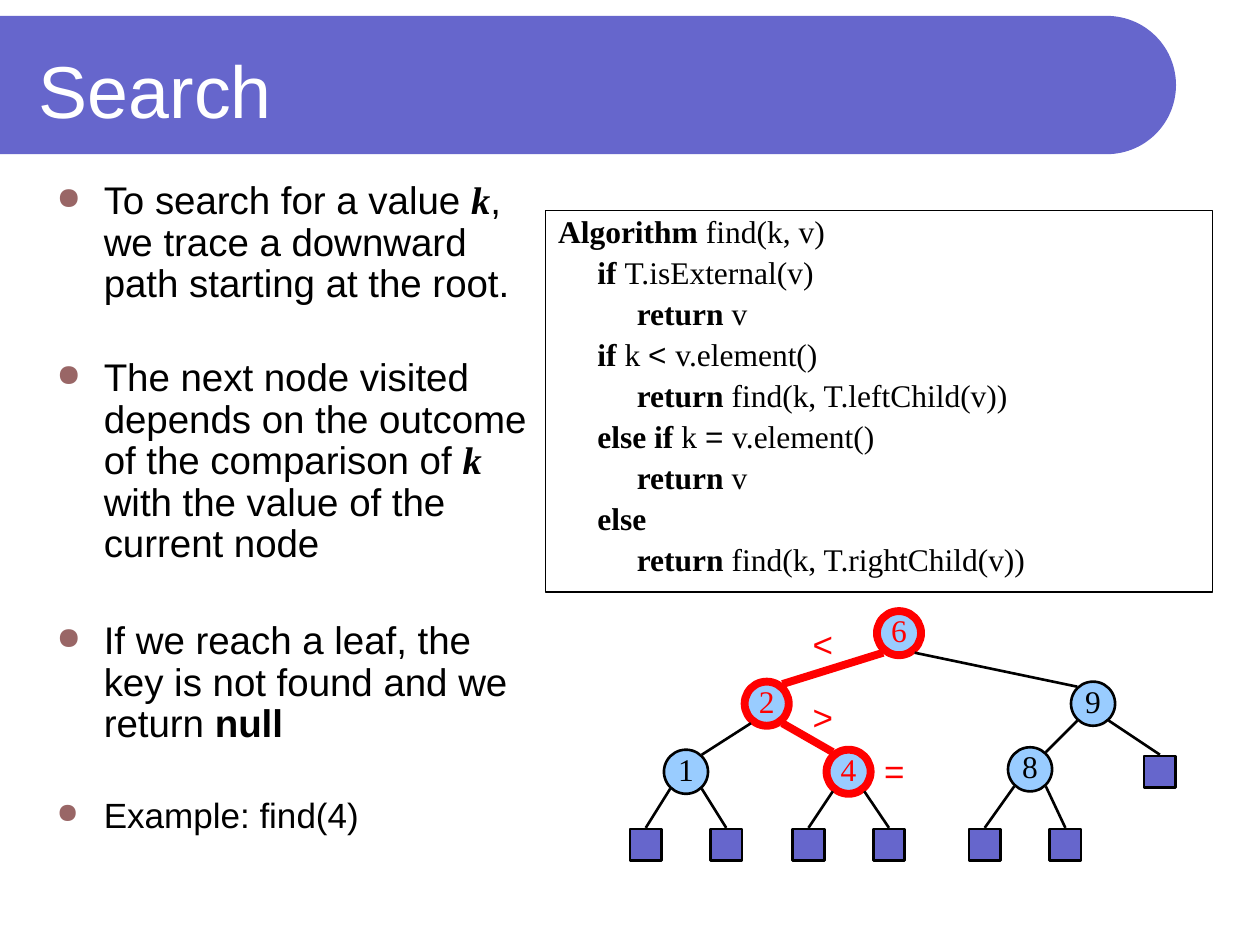
import math

import pptx
import pptx.util
import pptx.dml.color
import pptx.enum.shapes
import pptx.enum.text
from lxml import etree
from pptx.oxml.ns import qn

Pt = pptx.util.Pt
RGBColor = pptx.dml.color.RGBColor
MSO_SHAPE = pptx.enum.shapes.MSO_SHAPE
MSO_ANCHOR = pptx.enum.text.MSO_ANCHOR
PP_ALIGN = pptx.enum.text.PP_ALIGN

BLACK = RGBColor(0, 0, 0)
WHITE = RGBColor(255, 255, 255)
RED = RGBColor(255, 0, 0)
PURPLE = RGBColor(0x66, 0x66, 0xCC)
SKY = RGBColor(0x99, 0xCC, 0xFF)
BULLET = "996666"
SANS, SERIF = "Arial", "Times New Roman"

# Content: text pieces are (text, style); styles are plain, bold, variable, sans
TITLE = "Search"
# (pieces, font size, space before)
POINTS = [
    ([("To search for a value ", "plain"), ("k", "variable"),
      (", we trace a downward path starting at the root.", "plain")], 22, 0),
    ([("The next node visited depends on the outcome of the comparison of ", "plain"),
      ("k", "variable"), (" with the value of the current node", "plain")], 22, 30),
    ([("If we reach a leaf, the key is not found and we return ", "plain"),
      ("null", "bold")], 22, 31.5),
    ([("Example: find(4)", "plain")], 20, 30),
]
# (indent level, pieces)
ALGORITHM = [
    (0, [("Algorithm", "bold"), (" find(k, v)", "plain")]),
    (1, [("if ", "bold"), ("T.isExternal(v)", "plain")]),
    (2, [("return ", "bold"), ("v", "plain")]),
    (1, [("if", "bold"), (" k ", "plain"), ("< ", "sans"), ("v.element()", "plain")]),
    (2, [("return", "bold"), (" find(k, T.leftChild(v))", "plain")]),
    (1, [("else if", "bold"), (" k ", "plain"), ("= ", "sans"), ("v.element()", "plain")]),
    (2, [("return", "bold"), (" v", "plain")]),
    (1, [("else", "bold")]),
    (2, [("return", "bold"), (" find(k, T.rightChild(v))", "plain")]),
]
# Tree: node centres, leaf top centres by parent, and the search path
NODES = {"6": (513.7, 361.8), "2": (438.1, 402.1), "9": (624.6, 402.1),
         "1": (392, 441), "4": (484.9, 441), "8": (588.6, 439.6)}
EDGES = [("6", "2"), ("6", "9"), ("2", "1"), ("2", "4"), ("9", "8")]
LEAF_ROW = 473.8
LEAVES = [("1", 369, LEAF_ROW), ("1", 415, LEAF_ROW), ("4", 462, LEAF_ROW),
          ("4", 508, LEAF_ROW), ("8", 562.7, LEAF_ROW), ("8", 608.8, LEAF_ROW),
          ("9", 662.8, 432)]
VISITED = {"6", "2", "4"}
COMPARISONS = [("<", 457.2, 352), (">", 457.2, 394), ("=", 498.2, 425)]
NODE_SIZE, LEAF_SIZE = 25.2, 18


def add_box(slide, left, top, width, height):
    return slide.shapes.add_textbox(Pt(left), Pt(top), Pt(width), Pt(height))


def add_pieces(paragraph, pieces, font_name, size):
    paragraph.line_spacing = 0.9
    paragraph.font.size = Pt(size)
    paragraph.font.name = font_name
    paragraph.font.color.rgb = BLACK
    for text, style in pieces:
        run = paragraph.add_run()
        run.text = text
        if style in ("bold", "variable"):
            run.font.bold = True
        if style == "variable":
            run.font.italic = True
            run.font.name = SERIF
        if style == "sans":
            run.font.name = SANS


def set_indent(paragraph, margin, indent=0):
    properties = paragraph._p.get_or_add_pPr()
    properties.set("marL", str(Pt(margin)))
    properties.set("indent", str(Pt(indent)))
    return properties


def add_bullet(paragraph):
    properties = set_indent(paragraph, 27, -27)
    color = etree.SubElement(properties, qn("a:buClr"))
    etree.SubElement(color, qn("a:srgbClr"), val=BULLET)
    etree.SubElement(properties, qn("a:buSzPct"), val="80000")
    etree.SubElement(properties, qn("a:buChar"), char="●")


def paragraphs_for(frame, items):
    for index, item in enumerate(items):
        yield (frame.add_paragraph() if index else frame.paragraphs[0]), item


def paint(shape, fill, line, width):
    shape.shadow.inherit = False
    shape.fill.solid()
    shape.fill.fore_color.rgb = fill
    shape.line.color.rgb = line
    shape.line.width = Pt(width)


def center_text(frame, text, font_name, size, color):
    frame.word_wrap = False
    paragraph = frame.paragraphs[0]
    paragraph.text = text
    paragraph.alignment = PP_ALIGN.CENTER
    paragraph.font.name = font_name
    paragraph.font.size = Pt(size)
    paragraph.font.color.rgb = color


def add_banner(slide):
    top, radius, center_x = 9.1, 39.5, 632.5
    arc = [(center_x + radius * math.cos(angle), top + radius + radius * math.sin(angle))
           for angle in (math.radians(degrees) for degrees in range(-90, 91, 3))]
    builder = slide.shapes.build_freeform(0, Pt(top), scale=1.0)
    builder.add_line_segments([(Pt(x), Pt(y)) for x, y in arc + [(0, top + 2 * radius)]])
    banner = builder.convert_to_shape()
    paint(banner, PURPLE, PURPLE, 0)
    banner.line.fill.background()


def add_title(slide):
    title = slide.shapes.title
    slide.shapes._spTree.append(title._element)  # in front of the banner
    title.left, title.top, title.width, title.height = Pt(15), Pt(15), Pt(631.5), Pt(72)
    title.text_frame.vertical_anchor = MSO_ANCHOR.MIDDLE
    paragraph = title.text_frame.paragraphs[0]
    paragraph.text = TITLE
    paragraph.alignment = PP_ALIGN.LEFT
    paragraph.font.name = SANS
    paragraph.font.size = Pt(42)
    paragraph.font.color.rgb = WHITE


def add_edge(slide, start, end, on_path):
    edge = slide.shapes.add_connector(pptx.enum.shapes.MSO_CONNECTOR.STRAIGHT,
                                      *(Pt(value) for value in start + end))
    edge.line.color.rgb = RED if on_path else BLACK
    edge.line.width = Pt(4.5 if on_path else 1.5)
    etree.SubElement(edge._element.spPr, qn("a:effectLst"))


def node_port(name, toward_x, side):
    """Point on the node's rim, on its upper (-1) or lower (1) side."""
    x, y = NODES[name]
    reach = 11.2 if name in VISITED else 9.7
    return x + math.copysign(9, toward_x - x), y + side * reach


def add_tree(slide):
    for name, (x, y) in NODES.items():
        visited = name in VISITED
        color = RED if visited else BLACK
        node = slide.shapes.add_shape(MSO_SHAPE.OVAL, Pt(x - NODE_SIZE / 2),
                                      Pt(y - NODE_SIZE / 2), Pt(NODE_SIZE), Pt(NODE_SIZE))
        paint(node, SKY, color, 4.5 if visited else 1.5)
        frame = node.text_frame
        frame.margin_left = frame.margin_right = frame.margin_top = 0
        frame.margin_bottom = Pt(3.6)
        frame.vertical_anchor = MSO_ANCHOR.MIDDLE
        center_text(frame, name, SERIF, 18, color)
    for parent, child in EDGES:
        add_edge(slide, node_port(parent, NODES[child][0], 1),
                 node_port(child, NODES[parent][0], -1), {parent, child} <= VISITED)
    for parent, x, top in LEAVES:
        leaf = slide.shapes.add_shape(MSO_SHAPE.RECTANGLE, Pt(x - LEAF_SIZE / 2), Pt(top),
                                      Pt(LEAF_SIZE), Pt(LEAF_SIZE))
        paint(leaf, PURPLE, BLACK, 1.5)
        add_edge(slide, node_port(parent, x, 1), (x, top - 0.7), False)
    for sign, left, top in COMPARISONS:
        center_text(add_box(slide, left, top, 25.2, 31).text_frame, sign, SANS, 20, RED)


def main():
    presentation = pptx.Presentation()
    presentation.slide_width, presentation.slide_height = Pt(720), Pt(540)
    slide = presentation.slides.add_slide(presentation.slide_layouts[5])
    add_banner(slide)
    add_title(slide)

    # Bulleted explanation
    frame = add_box(slide, 25.2, 100, 286.6, 414).text_frame
    frame.word_wrap = True
    for paragraph, (pieces, size, space) in paragraphs_for(frame, POINTS):
        add_bullet(paragraph)
        paragraph.space_before = Pt(space)
        add_pieces(paragraph, pieces, SANS, size)

    # Algorithm listing
    box = add_box(slide, 311.8, 120.2, 380.9, 218.2)
    box.line.color.rgb = BLACK
    box.line.width = Pt(0.75)
    box.text_frame.word_wrap = True
    for paragraph, (level, pieces) in paragraphs_for(box.text_frame, ALGORITHM):
        set_indent(paragraph, 22.5 * level)
        if paragraph._p is not box.text_frame.paragraphs[0]._p:
            paragraph.space_before = Pt(4)
        add_pieces(paragraph, pieces, SERIF, 18)

    add_tree(slide)
    presentation.save("out.pptx")


if __name__ == "__main__":
    main()
